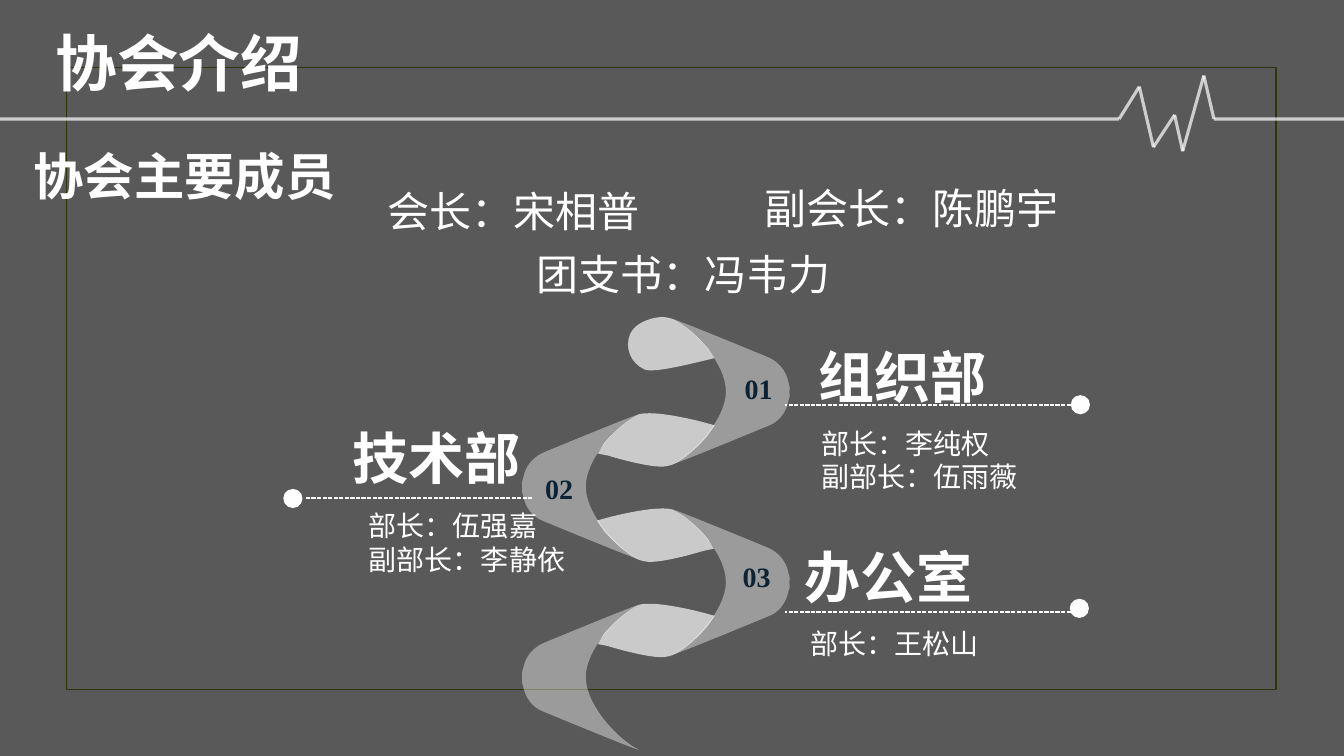
from itertools import pairwise

from lxml import etree
from pptx import Presentation
from pptx.dml.color import RGBColor
from pptx.enum import dml, shapes, text
from pptx.oxml import ns
from pptx.util import Inches, Pt

SERIF = "Times New Roman"
SANS = "Noto Sans CJK SC"
ALIGN = text.PP_ALIGN


def paint(color_format, color, opacity=100):
    """Set a solid fill or line fill from a hex string, with opacity in percent."""
    color_format.solid()
    color_format.fore_color.rgb = RGBColor.from_string(color)
    if opacity < 100:
        for color_node in color_format.fore_color._xFill.iter(ns.qn("a:srgbClr")):
            etree.SubElement(color_node, ns.qn("a:alpha"), val=str(opacity * 1000))


def write(shape, content, size=20, font=SERIF, color="FFFFFF", bold=False,
          align=ALIGN.LEFT, spacing=1.0, wrap=True):
    frame = shape.text_frame
    frame.text = content
    frame.word_wrap = wrap
    frame.vertical_anchor = text.MSO_ANCHOR.TOP
    frame.auto_size = text.MSO_AUTO_SIZE.SHAPE_TO_FIT_TEXT
    for paragraph in frame.paragraphs:
        paragraph.alignment = align
        paragraph.line_spacing = spacing
        paragraph.space_before = Pt(0)
        for run in paragraph.runs:
            run.font.size = Pt(size)
            run.font.name = font
            run.font.bold = bold
            run.font.color.rgb = RGBColor.from_string(color)
            etree.SubElement(run.font._element, ns.qn("a:ea"), typeface=SANS)


presentation = Presentation()
presentation.slide_width = Inches(13.33)
presentation.slide_height = Inches(7.5)
slide = presentation.slides.add_slide(presentation.slide_layouts[5])
paint(slide.background.fill, "FFFFFF")

border = slide.shapes.add_shape(
    shapes.MSO_SHAPE.RECTANGLE, Inches(0.66), Inches(0.67), Inches(12), Inches(6.17))
border.shadow.inherit = False
border.fill.background()
paint(border.line.fill, "83992A")
border.line.width = Pt(1.25)

shade = slide.shapes.add_shape(
    shapes.MSO_SHAPE.RECTANGLE, 0, 0, presentation.slide_width, presentation.slide_height)
shade.shadow.inherit = False
paint(shade.fill, "000000", 65)
shade.line.fill.background()

# Ribbon outlines: a start point, then one-point lines and three-point curves.
band = (5.81, 0.72), [
    [(5.81, 0.99), (6.13, 1.34), (6.34, 1.44)],
    [(6.31, 1.44), (5.56, 1.13), (5.39, 1.06)],
    [(5.28, 1.02), (5.21, 0.92), (5.19, 0.81)],
    [(5.17, 0.78), (5.18, 0.76), (5.18, 0.72)],
    [(5.18, 0.69), (5.17, 0.66), (5.19, 0.63)],
    [(5.21, 0.52), (5.28, 0.43), (5.39, 0.38)],
    [(5.56, 0.31), (6.31, 0), (6.34, 0)],
    [(6.13, 0.1), (5.81, 0.44), (5.81, 0.72)],
]
fold = (6.45, -0.01), [
    [(6.57, -0.01), (6.79, 0.03), (6.98, 0.08)],
    [(7.09, 0.11)], [(7.02, 0.21)],
    [(6.91, 0.34), (6.78, 0.45), (6.67, 0.5)],
    [(6.64, 0.51), (6.6, 0.52), (6.56, 0.52)],
    [(6.45, 0.52), (6.23, 0.47), (6.03, 0.41)],
    [(5.93, 0.39)], [(5.99, 0.29)],
    [(6.1, 0.16), (6.23, 0.05), (6.34, 0)],
    [(6.38, -0.01), (6.41, -0.01), (6.45, -0.01)],
]
ribbon_end = (6.56, -0.02), [
    [(6.6, -0.02), (6.64, -0.01), (6.67, 0)],
    [(6.78, 0.05), (6.91, 0.16), (7.02, 0.29)],
    [(7.08, 0.38)], [(7.08, 0.39)],
    [(6.83, 0.45), (6.48, 0.54), (6.39, 0.5)],
    [(6.26, 0.44), (6.19, 0.29), (6.25, 0.15)],
    [(6.29, 0.05), (6.43, -0.01), (6.56, -0.02)],
]
ribbon_top, turn_height, mirror_width = 3.165, 0.945, 13.01
pieces = [(band, turn, turn % 2 == 0, 40) for turn in range(4)]
pieces += [(ribbon_end, 0, False, 69)]
pieces += [(fold, turn, turn % 2 == 0, 69) for turn in range(1, 4)]

for (start, segments), turn, mirrored, opacity in pieces:
    top = ribbon_top + turn * turn_height
    outline = [start] + [point for segment in segments for point in segment]
    placed = [(Inches(mirror_width - x if mirrored else x), Inches(top + y))
              for x, y in outline]
    builder = slide.shapes.build_freeform(*placed[0])
    builder.add_line_segments(placed[1:], close=True)
    ribbon = builder.convert_to_shape()
    straight_parts = iter(list(ribbon._element.iter(ns.qn("a:lnTo"))))
    for segment in segments:
        parts = [next(straight_parts) for _ in segment]
        if len(parts) == 3:
            curve = etree.Element(ns.qn("a:cubicBezTo"))
            parts[0].addprevious(curve)
            for part in parts:
                curve.append(part[0])
                part.getparent().remove(part)
    ribbon.shadow.inherit = False
    paint(ribbon.fill, "FEFEFE", opacity)
    ribbon.line.fill.background()

pulse = [(0, 1.18), (11.1, 1.18), (11.3, 0.86), (11.44, 1.46), (11.65, 1.14),
         (11.73, 1.5), (11.94, 0.75), (12.04, 1.18), (13.33, 1.18)]
leaders = [((5.28, 4.94), (3.03, 4.94)), ((10.62, 4.02), (7.79, 4.02)),
           ((10.62, 6.07), (7.79, 6.07))]
lines = [(ends, "FFFFFF", 2.25, 70, None) for ends in pairwise(pulse)]
lines += [(ends, "FEFEFE", 1, 100, dml.MSO_LINE.SQUARE_DOT) for ends in leaders]
for (begin, end), color, width, opacity, dash in lines:
    connector = slide.shapes.add_connector(
        shapes.MSO_CONNECTOR.STRAIGHT, *map(Inches, begin + end))
    paint(connector.line.fill, color, opacity)
    connector.line.width = Pt(width)
    if dash:
        connector.line.dash_style = dash
    etree.SubElement(connector._element.spPr, ns.qn("a:effectLst"))

for left, top in [(2.81, 4.85), (10.62, 3.92), (10.61, 5.94)]:
    dot = slide.shapes.add_shape(
        shapes.MSO_SHAPE.OVAL, Inches(left), Inches(top), Inches(0.19), Inches(0.19))
    dot.shadow.inherit = False
    paint(dot.fill, "FEFEFE")
    dot.line.fill.background()

title = slide.shapes.title
title.left, title.top, title.width, title.height = map(Inches, (0.45, 0.2, 3.88, 0.84))
write(title, "协会介绍", size=44, font=SANS, bold=True)
title._element.getparent().append(title._element)

number = dict(color="0B2334", bold=True, align=ALIGN.CENTER, wrap=False)
heading = dict(size=40, bold=True, spacing=1.2, align=ALIGN.JUSTIFY)
leader_name = dict(size=30)
labels = [
    ("01", (7.27, 3.64, 0.51, 0.44), number),
    ("02", (5.29, 4.63, 0.51, 0.44), number),
    ("03", (7.25, 5.5, 0.51, 0.44), number),
    ("组织部", (8.02, 3.22, 2.45, 0.86), heading),
    ("部长：李纯权\n副部长：伍雨薇", (8.05, 4.18, 2.76, 0.77), {}),
    ("办公室", (7.88, 5.2, 2.45, 0.86), heading),
    ("部长：王松山", (7.94, 6.17, 2.76, 0.44), {}),
    ("技术部", (2.81, 4.02, 2.45, 0.86), heading | {"align": ALIGN.RIGHT}),
    ("部长：伍强嘉\n副部长：李静依", (3.56, 5, 2.76, 0.77), {}),
    ("协会主要成员", (-0.09, 1.27, 3.84, 0.8),
     dict(size=36, font=SANS, bold=True, spacing=1.2, align=ALIGN.CENTER)),
    ("会长：宋相普", (3.75, 1.79, 3.6, 0.61), leader_name),
    ("副会长：陈鹏宇", (7.48, 1.76, 3.53, 0.61), leader_name),
    ("团支书：冯韦力", (5.22, 2.42, 3.7, 0.61), leader_name),
]
for content, place, style in labels:
    write(slide.shapes.add_textbox(*map(Inches, place)), content, **style)

presentation.save("out.pptx")
